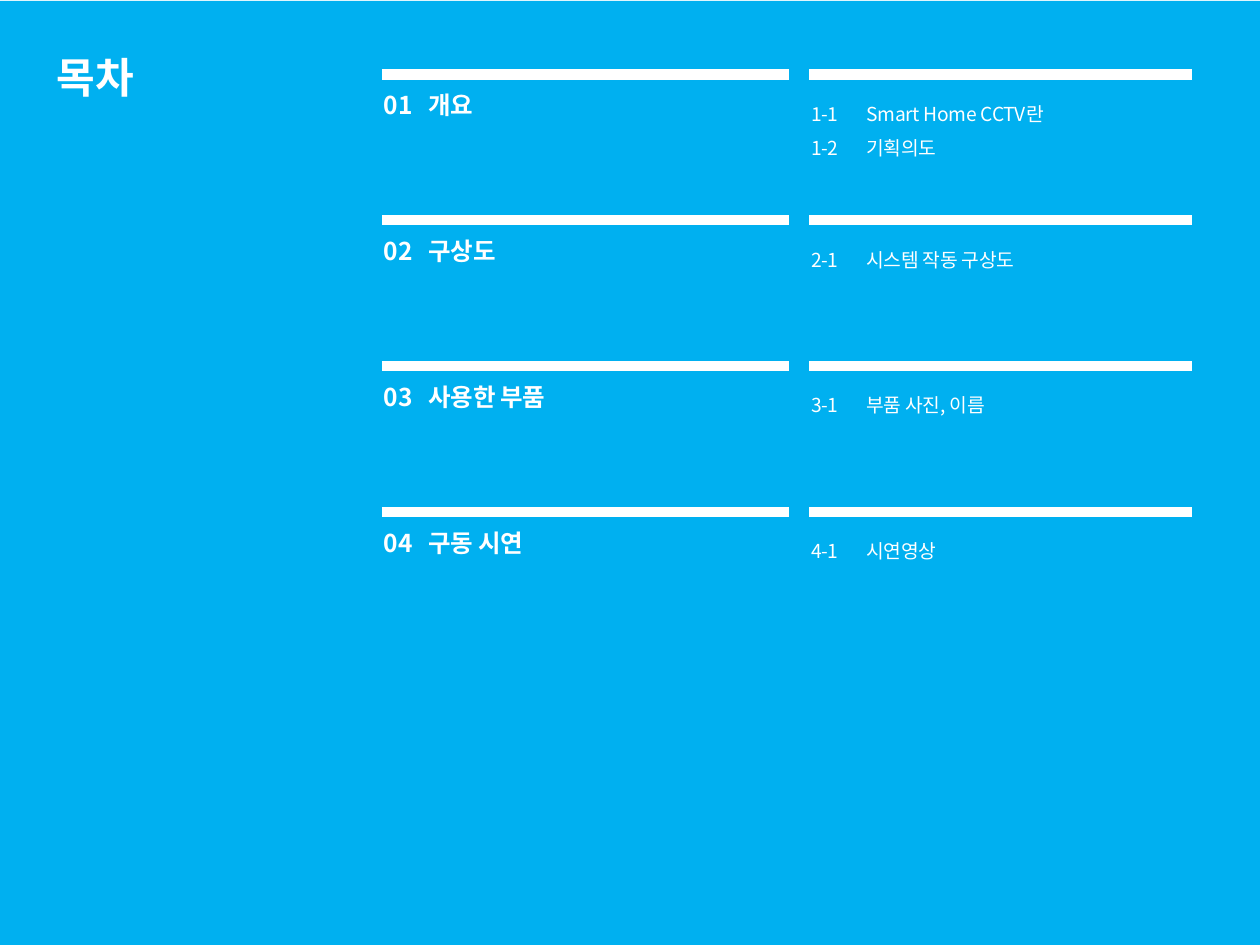
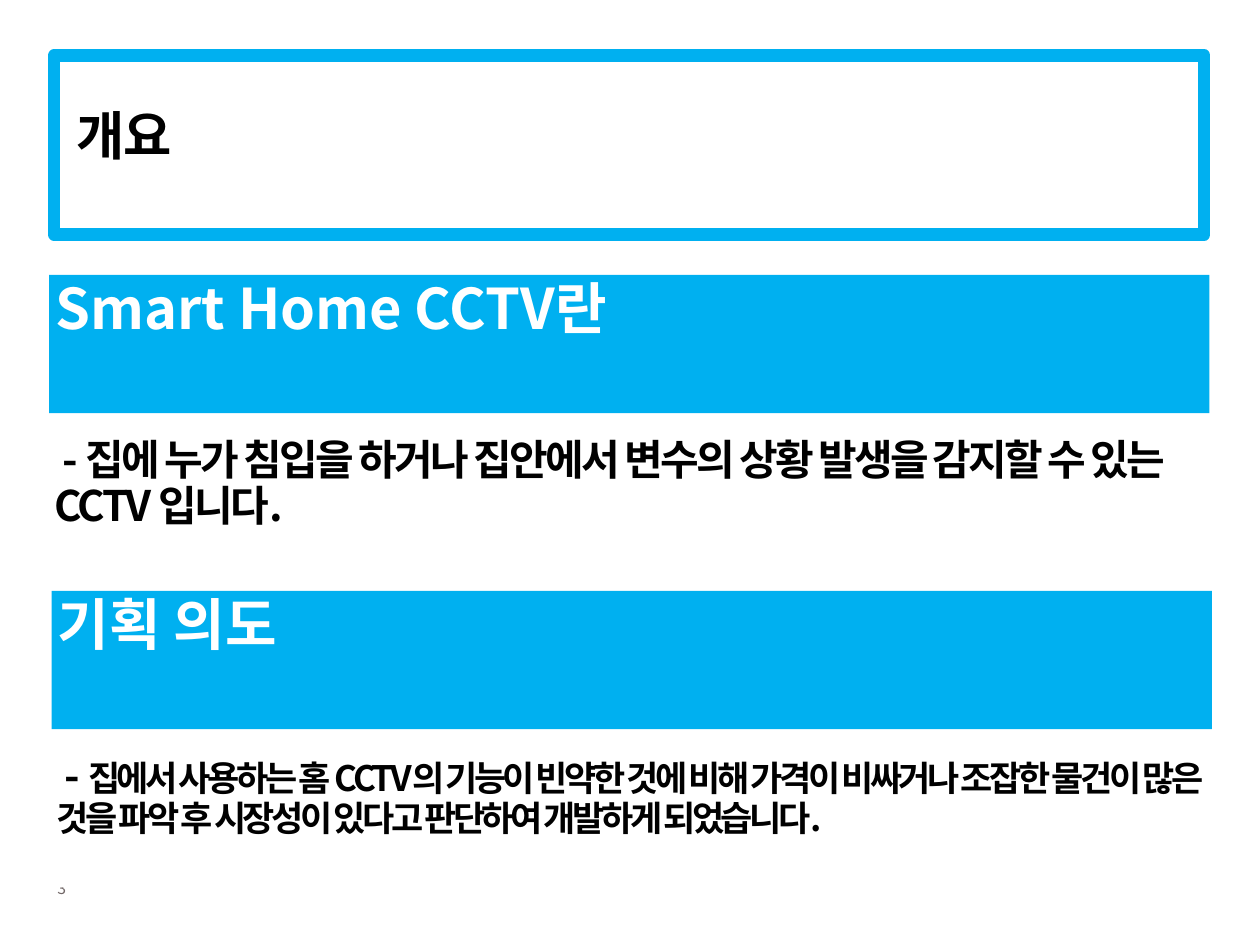
from dataclasses import dataclass

from lxml.etree import SubElement
from pptx import Presentation
from pptx.dml.color import RGBColor
from pptx.enum.shapes import MSO_CONNECTOR, MSO_SHAPE
from pptx.enum.text import MSO_ANCHOR, PP_ALIGN
from pptx.oxml.ns import qn
from pptx.util import Cm, Pt


@dataclass(frozen=True)
class Theme:
    """Colours, font and type sizes shared by the slides."""
    face: str = "Noto Sans CJK KR"
    blue: RGBColor = RGBColor(0x00, 0xB0, 0xF0)
    white: RGBColor = RGBColor(0xFF, 0xFF, 0xFF)
    black: RGBColor = RGBColor(0x00, 0x00, 0x00)
    grey: RGBColor = RGBColor(0x72, 0x68, 0x68)
    cover: int = 24
    title: int = 30
    band: int = 32
    head: int = 14
    item: int = 11
    note: int = 9


LOOK = Theme()

TOPICS = [
    ("01\t개요", ["1-1\tSmart Home CCTV란", "1-2\t기획의도"]),
    ("02\t구상도", ["2-1\t시스템 작동 구상도"]),
    ("03\t사용한 부품", ["3-1\t부품 사진, 이름"]),
    ("04\t구동 시연", ["4-1\t시연영상"]),
]

PARTS = [
    (0.99, 5.54, "Smart Home CCTV란", 24, -1.5,
     "집에 누가 침입을 하거나 집안에서 변수의 상황 발생을 감지할 수 있는 CCTV 입니다."),
    (1.04, 11.91, "기획 의도", 20, -2,
     "집에서 사용하는 홈 CCTV의 기능이 빈약한 것에 비해 가격이 비싸거나 조잡한 물건이 "
     "많은 것을 파악 후 시장성이 있다고 판단하여 개발하게 되었습니다."),
]


def style(font, size, color, bold=False, track=0):
    """Set face, size, colour, weight and letter spacing of a font."""
    font.name, font.size, font.bold = LOOK.face, Pt(size), bold
    font.color.rgb = color
    props = font._element
    if track:
        props.set("spc", str(round(track * 100)))
    SubElement(props, qn("a:ea"), typeface=LOOK.face)


def tab(para, stop):
    """Add a left tab stop to a paragraph."""
    stops = SubElement(para._p.get_or_add_pPr(), qn("a:tabLst"))
    SubElement(stops, qn("a:tab"), pos=str(Cm(stop)), algn="l")


def label(slide, place, lines, size, color, bold=False, track=0,
          stop=None, space=None, before=0, anchor=MSO_ANCHOR.TOP, wrap=True):
    """Place a text box with one style for all its paragraphs."""
    frame = slide.shapes.add_textbox(*map(Cm, place)).text_frame
    frame.word_wrap, frame.vertical_anchor = wrap, anchor
    for index, line in enumerate(lines):
        para = frame.paragraphs[0] if index == 0 else frame.add_paragraph()
        para.text = line
        para.line_spacing = space
        para.space_before = Pt(before)
        if stop:
            tab(para, stop)
        style(para.font, size, color, bold, track)


def block(slide, place, fill=None, line=None, width=0):
    """Draw a flat rectangle with an optional fill and outline."""
    shape = slide.shapes.add_shape(MSO_SHAPE.RECTANGLE, *map(Cm, place))
    shape.shadow.inherit = False
    if fill is None:
        shape.fill.background()
    else:
        shape.fill.solid()
        shape.fill.fore_color.rgb = fill
    if line is None:
        shape.line.fill.background()
    else:
        shape.line.color.rgb = line
        shape.line.width = Pt(width)
    return shape


def panel(slide, place, fill):
    """Draw a filled block and return its first paragraph."""
    frame = block(slide, place, fill).text_frame
    frame.word_wrap, frame.vertical_anchor = True, MSO_ANCHOR.TOP
    frame.margin_left = frame.margin_right = Cm(0.13)
    frame.margin_top = frame.margin_bottom = Cm(0.13)
    para = frame.paragraphs[0]
    para.alignment, para.line_spacing = PP_ALIGN.LEFT, 0.9
    return para


def rule(slide, left, right, top):
    """Draw a thick white horizontal line."""
    ends = map(Cm, (left, top, right, top))
    line = slide.shapes.add_connector(MSO_CONNECTOR.STRAIGHT, *ends)
    line.line.color.rgb, line.line.width = LOOK.white, Pt(6)
    SubElement(line._element.spPr, qn("a:effectLst"))


def topic(slide, top, head, items):
    """Draw one row of the contents list."""
    rule(slide, 7.7, 15.9, top)
    rule(slide, 16.31, 24.03, top)
    label(slide, (7.49, top + 0.2, 9.2, 0.99), [head], LOOK.head, LOOK.white,
          bold=True, track=-0.2, stop=0.9, before=3)
    label(slide, (16.1, top + 0.2, 9.2, 1.8), items, LOOK.item, LOOK.white,
          track=-0.2, stop=1.12, space=1.5)


def part(slide, left, top, head, size, track, body):
    """Draw a blue heading band with its explanation below."""
    para = panel(slide, (left, top, 23.39, 2.79), LOOK.blue)
    para.text = head
    style(para.font, LOOK.band, LOOK.white, bold=True)
    para = panel(slide, (left - 0.02, top + 3.19, 23.39, 2.79), LOOK.white)
    for text, gap in ((" - ", -1), (body, track)):
        run = para.add_run()
        run.text = text
        style(run.font, 24 if text == " - " else size, LOOK.black, True, gap)


def agenda(slide):
    """Build the contents slide."""
    block(slide, (0, 0.02, 25.4, 19.05), LOOK.blue)
    label(slide, (0.89, 0.74, 8, 1.6), ["목차"], LOOK.cover, LOOK.white,
          bold=True, anchor=MSO_ANCHOR.MIDDLE)
    for index, (head, items) in enumerate(TOPICS):
        topic(slide, 1.5 + 2.94 * index, head, items)


def intro(slide):
    """Build the overview slide."""
    label(slide, (0.91, 17.6, 1.32, 0.64), ["3"], LOOK.note, LOOK.grey,
          wrap=False)
    label(slide, (1.3, 1.12, 18.21, 3.2), ["개요"], LOOK.title, LOOK.black,
          bold=True, track=-1, anchor=MSO_ANCHOR.MIDDLE)
    block(slide, (1.09, 1.12, 23.19, 3.61), line=LOOK.blue, width=7)
    for entry in PARTS:
        part(slide, *entry)


def main():
    """Build and save the presentation."""
    deck = Presentation()
    deck.slide_width, deck.slide_height = Cm(25.4), Cm(19.05)
    for build in (agenda, intro):
        build(deck.slides.add_slide(deck.slide_layouts[6]))
    deck.save("out.pptx")


if __name__ == "__main__":
    main()
